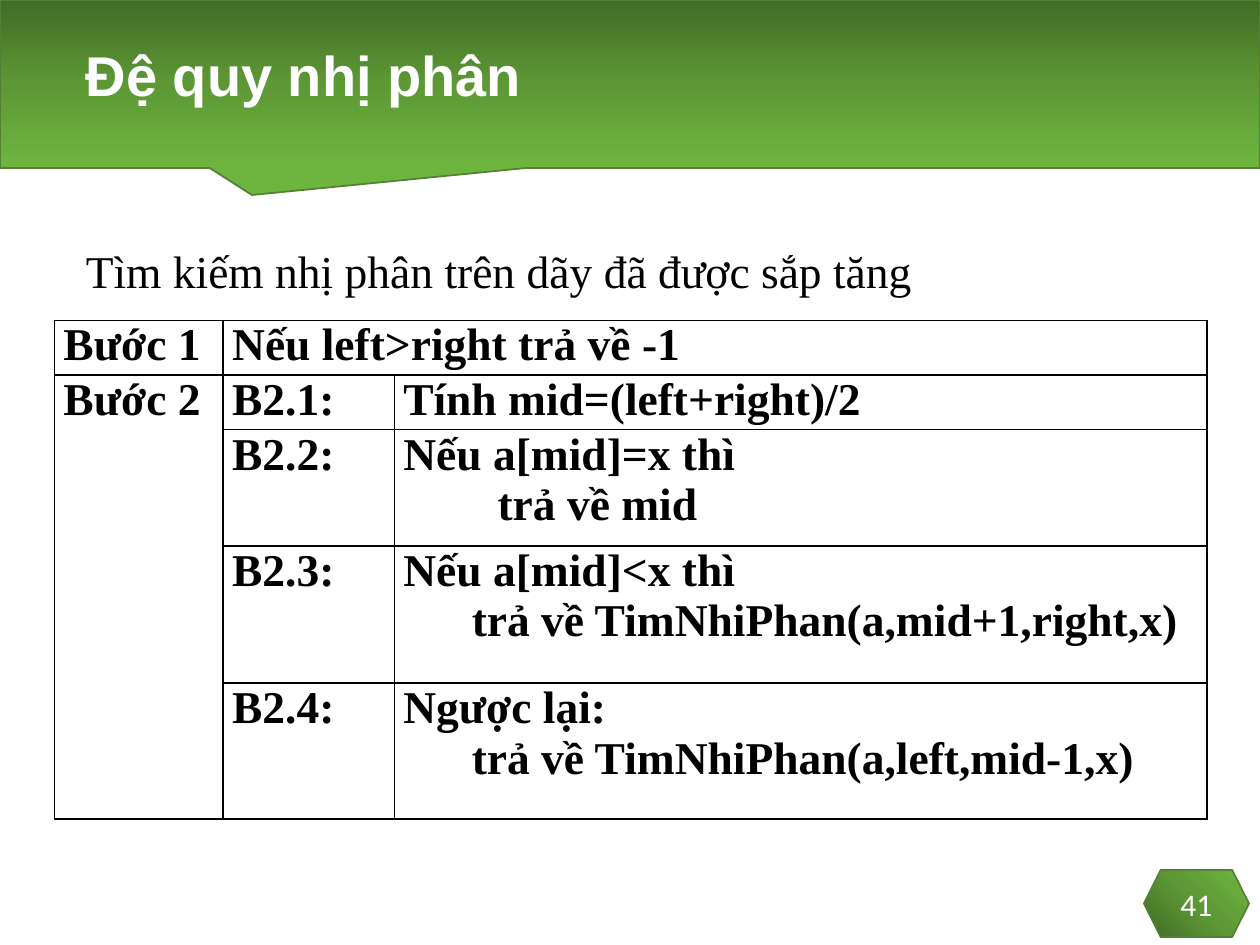
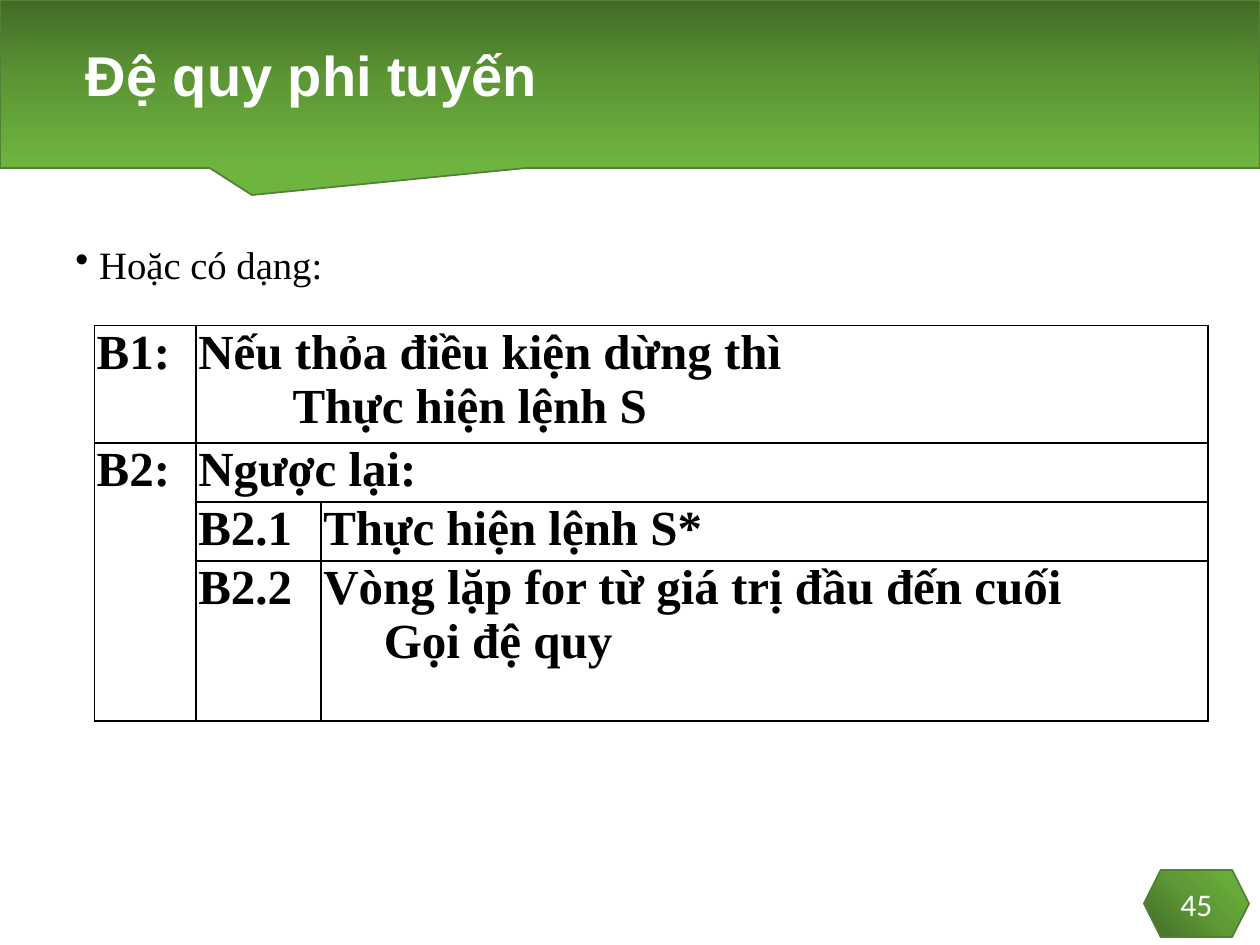
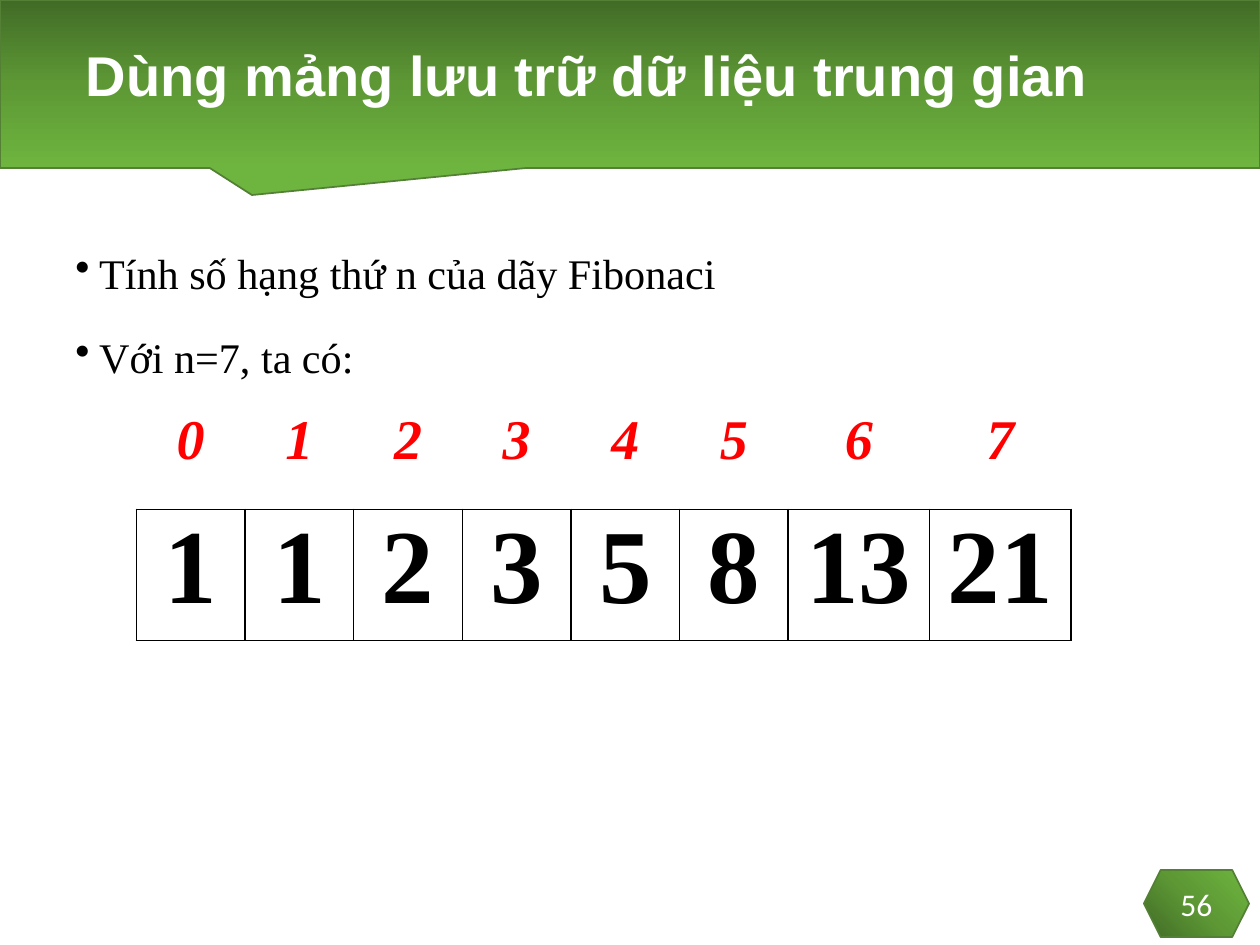
"""Build three slides on recursion with a shared green band and page badge."""
from pptx import Presentation
from pptx.dml.color import RGBColor
from pptx.enum.shapes import MSO_SHAPE
from pptx.enum.text import MSO_ANCHOR, PP_ALIGN
from pptx.oxml import parse_xml
from pptx.oxml.ns import nsdecls, qn
from pptx.util import Cm, Pt

BAND, BADGE = MSO_SHAPE.RECTANGULAR_CALLOUT, MSO_SHAPE.HEXAGON
MIDDLE = MSO_ANCHOR.MIDDLE
LEFT, CENTER, JUSTIFY = PP_ALIGN.LEFT, PP_ALIGN.CENTER, PP_ALIGN.JUSTIFY
INK = {
    "dark": "416B26", "mid": "5D9835", "light": "6EB53F", "edge": "538035",
    "white": "FFFFFF", "black": "000000", "red": "FF0000",
}
SERIF = "Times New Roman"
DOWN = '<a:lin ang="5400000" scaled="0"/>'
CORNER = '<a:path path="circle"><a:fillToRect t="100000" r="100000"/></a:path>'
SIDES = "LRTB"


def write(frame, text, font=SERIF, size=26, color="black", bold=False, italic=False,
          align=LEFT, space=None, before=0, nest=0, bullet=False):
    """Fill a frame with one paragraph a line; nest indents all but the first."""
    frame.word_wrap = True
    for i, line in enumerate(text.split("\n")):
        para = frame.add_paragraph() if i else frame.paragraphs[0]
        para.alignment, para.line_spacing, para.space_before = align, space, Pt(before)
        props = para._p.get_or_add_pPr()
        if bullet:
            props.set("marL", str(Cm(0.48)))
            props.set("indent", str(-Cm(0.48)))
            props.append(parse_xml(f'<a:buChar {nsdecls("a")} char="•"/>'))
        elif i and nest:
            props.set("marL", str(Cm(nest)))
        run = para.add_run()
        run.text = line
        face = run.font
        face.name, face.size, face.bold, face.italic = font, Pt(size), bold, italic
        face.color.rgb = RGBColor.from_string(INK[color])


class Deck:
    """Hold the shared style and the current slide."""

    def __init__(self):
        self.prs = Presentation()
        self.prs.slide_width, self.prs.slide_height = Cm(25.4), Cm(19.05)
        self.slide = None

    def page(self, title, number):
        """Start a slide with its band, title and page badge."""
        self.slide = self.prs.slides.add_slide(self.prs.slide_layouts[6])
        band = self.shape(BAND, (0, 0, 25.4, 3.39), DOWN)
        band.adjustments[0], band.adjustments[1] = -0.3, 0.66
        badge = self.shape(BADGE, (23.06, 17.54, 2.12, 1.35), CORNER)
        badge.text_frame.vertical_anchor = MIDDLE
        write(badge.text_frame, str(number), font="Calibri", size=18,
              color="white", align=CENTER)
        self.text(title, (1.48, 0.2, 22.43, 2.75), anchor=MIDDLE, font="Arial",
                  size=32, color="white", bold=True, space=0.9)

    def shape(self, kind, box, shade):
        """Add a preset shape with the green gradient."""
        item = self.slide.shapes.add_shape(kind, *map(Cm, box))
        item.shadow.inherit = False
        item.line.color.rgb = RGBColor.from_string(INK["edge"])
        item.line.width = Pt(1)
        item.fill.gradient()
        stops = "".join(
            f'<a:gs pos="{i * 50000}"><a:srgbClr val="{INK[tone]}"/></a:gs>'
            for i, tone in enumerate(("dark", "mid", "light")))
        props = item._element.spPr
        props.replace(props.find(qn("a:gradFill")), parse_xml(
            f'<a:gradFill {nsdecls("a")} rotWithShape="1">'
            f'<a:gsLst>{stops}</a:gsLst>{shade}</a:gradFill>'))
        return item

    def text(self, text, box, anchor=None, **style):
        """Add a text box."""
        frame = self.slide.shapes.add_textbox(*map(Cm, box)).text_frame
        frame.vertical_anchor = anchor
        write(frame, text, **style)

    def table(self, spot, cols, rows, cells, spans=(), pad=0.18):
        """Add a plain grid; cells maps (row, column) to text and format."""
        grid = self.slide.shapes.add_table(
            len(rows), len(cols), *map(Cm, (*spot, sum(cols), sum(rows)))).table
        grid.first_row = grid.horz_banding = False
        for col, width in zip(grid.columns, cols):
            col.width = Cm(width)
        for row, height in zip(grid.rows, rows):
            row.height = Cm(height)
        for start, end in spans:
            grid.cell(*start).merge(grid.cell(*end))
        for r in range(len(rows)):
            for c in range(len(cols)):
                cell = grid.cell(r, c)
                text, style = cells.get((r, c), ("", {}))
                style = dict(style)
                self.edge(cell, style.pop("sides", SIDES))
                cell.fill.background()
                cell.margin_left = cell.margin_right = Cm(pad)
                cell.margin_top = cell.margin_bottom = 0
                if text:
                    write(cell.text_frame, text, bold=True, **style)

    def edge(self, cell, sides):
        """Rule the named sides of a cell and clear the others."""
        props = cell._tc.get_or_add_tcPr()
        for side in SIDES:
            ink = (f'<a:solidFill><a:srgbClr val="{INK["black"]}"/></a:solidFill>'
                   if side in sides else "<a:noFill/>")
            props.append(parse_xml(
                f'<a:ln{side} {nsdecls("a")} w="12700">{ink}</a:ln{side}>'))


def search(deck):
    """Show the steps of binary search."""
    deck.page("Đệ quy nhị phân", 41)
    deck.text("Tìm kiếm nhị phân trên dãy đã được sắp tăng",
              (1.48, 4.23, 22.43, 1.7), space=1.5, before=7.5)
    cells = {
        (0, 0): ("Bước 1", {}),
        (0, 1): ("Nếu left>right trả về -1", {}),
        (1, 0): ("Bước 2", {}),
    }
    steps = (
        ("Tính mid=(left+right)/2", 0),
        ("Nếu a[mid]=x thì\ntrả về mid", 1.9),
        ("Nếu a[mid]<x thì\ntrả về TimNhiPhan(a,mid+1,right,x)", 1.38),
        ("Ngược lại:\ntrả về TimNhiPhan(a,left,mid-1,x)", 1.38),
    )
    for i, (text, nest) in enumerate(steps, 1):
        cells[i, 1] = (f"B2.{i}:", {})
        cells[i, 2] = (text, {"nest": nest})
    deck.table((1.1, 6.46), (3.4, 3.45, 16.38), (1.02, 1.02, 2.34, 2.77, 2.74),
               cells, spans=(((0, 1), (0, 2)), ((1, 0), (4, 0))))


def loop(deck):
    """Show the general form of nonlinear recursion."""
    deck.page("Đệ quy phi tuyến", 45)
    deck.text("Hoặc có dạng:", (1.27, 4.45, 22.86, 1.48), size=22.1,
              space=1.3, before=7.5, bullet=True)
    lines = {
        (0, 0): ("B1:", 0),
        (0, 1): ("Nếu thỏa điều kiện dừng thì\nThực hiện lệnh S", 1.9),
        (1, 0): ("B2:", 0),
        (1, 1): ("Ngược lại:", 0),
        (2, 1): ("B2.1", 0),
        (2, 2): ("Thực hiện lệnh S*", 0),
        (3, 1): ("B2.2", 0),
        (3, 2): ("Vòng lặp for từ giá trị đầu đến cuối\nGọi đệ quy", 1.22),
    }
    cells = {key: (text, {"size": 28, "align": JUSTIFY, "nest": nest})
             for key, (text, nest) in lines.items()}
    deck.table((1.9, 6.56), (2.05, 2.52, 17.88), (2.18, 1.09, 1.09, 3.23), cells,
               spans=(((0, 1), (0, 2)), ((1, 0), (3, 0)), ((1, 1), (1, 2))), pad=0.05)


def store(deck):
    """Show the array of Fibonacci terms under its indices."""
    deck.page("Dùng mảng lưu trữ dữ liệu trung gian", 56)
    deck.text("Tính số hạng thứ n của dãy Fibonaci\nVới n=7, ta có:",
              (1.27, 4.45, 22.86, 3.39), size=24.1, space=1.4, before=7.5, bullet=True)
    head = {"size": 32, "color": "red", "italic": True, "align": CENTER, "sides": "B"}
    body = {"size": 60, "align": CENTER}
    cells = {}
    for i, term in enumerate((1, 1, 2, 3, 5, 8, 13, 21)):
        cells[0, i] = (str(i), head)
        cells[1, i] = (str(term), body)
    deck.table((2.75, 8.26), (2.19,) * 6 + (2.85,) * 2, (2.01, 2.64), cells)


def main():
    """Build and save the slides."""
    deck = Deck()
    for build in (search, loop, store):
        build(deck)
    deck.prs.save("out.pptx")


if __name__ == "__main__":
    main()
